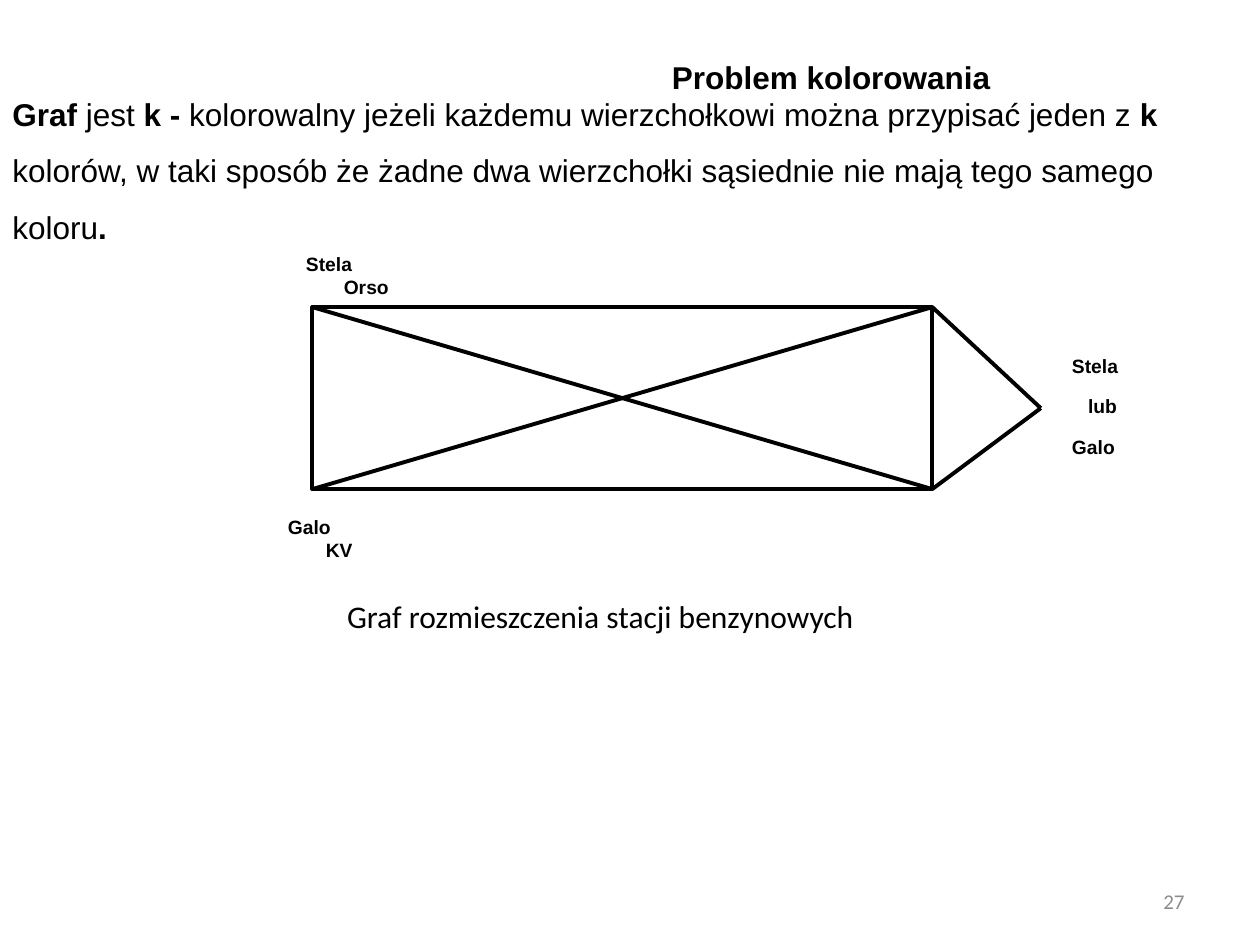
"""Build the slide that defines graph colouring with a petrol station graph."""
from lxml.etree import SubElement
from pptx import Presentation
from pptx.dml.color import RGBColor
from pptx.enum.shapes import MSO_CONNECTOR, MSO_SHAPE
from pptx.enum.text import MSO_ANCHOR, PP_ALIGN
from pptx.oxml.ns import qn
from pptx.util import Pt

BLACK, WHITE, GREY = "000000", "FFFFFF", "8C8C8C"
LINE_WIDTH = 2.25

TITLE = "Problem kolorowania"
DEFINITION = [
    ("Graf ", True),
    ("jest", False),
    (" k - ", True),
    ("kolorowalny jeżeli każdemu wierzchołkowi można przypisać jeden z ", False),
    ("k ", True),
    ("kolorów, w taki sposób że żadne dwa wierzchołki sąsiednie nie mają tego samego koloru", False),
    (".", True),
]
CAPTION = "Graf rozmieszczenia stacji benzynowych"
PAGE = "27"

LEFT, TOP, RIGHT, BOTTOM = 178.5, 175.5, 532.75, 279.5
APEX = (594.75, 233.25)
EDGES = [
    ((LEFT, TOP), (RIGHT, BOTTOM)),
    ((RIGHT, TOP), (LEFT, BOTTOM)),
    ((RIGHT, TOP), APEX),
    (APEX, (RIGHT, BOTTOM)),
]
STATIONS = [
    ((167.75, 140.5, 375, 23), 0, [("Stela", 0), ("Orso", 21.6)]),
    ((157.5, 291, 396, 34.5), 0, [("Galo", 0), ("KV", 21.6)]),
    ((605.5, 198.75, 72.75, 69), 10, [("Stela", 0), ("lub", 9.2), ("Galo", 0)]),
]


def color(value):
    return RGBColor.from_string(value)


def add_run(p, text, size, bold=False, font="Arial", fill=BLACK):
    r = p.add_run()
    r.text = text
    r.font.name, r.font.size, r.font.bold = font, Pt(size), bold
    r.font.color.rgb = color(fill)


def add_text(s, box, anchor=MSO_ANCHOR.MIDDLE, wrap=True):
    tf = s.shapes.add_textbox(*map(Pt, box)).text_frame
    tf.word_wrap, tf.vertical_anchor = wrap, anchor
    return tf.paragraphs[0]


def add_rect(s, box, outlined=False):
    sp = s.shapes.add_shape(MSO_SHAPE.RECTANGLE, *map(Pt, box))
    sp.shadow.inherit = False
    sp.fill.solid()
    sp.fill.fore_color.rgb = color(WHITE)
    if outlined:
        sp.line.color.rgb, sp.line.width = color(BLACK), Pt(LINE_WIDTH)
    else:
        sp.line.fill.background()
    return sp


def add_edge(s, start, end):
    line = s.shapes.add_connector(MSO_CONNECTOR.STRAIGHT, *map(Pt, start + end))
    line.line.color.rgb, line.line.width = color(BLACK), Pt(LINE_WIDTH)
    SubElement(line._element.spPr, qn("a:effectLst"))


def add_station(s, box, gap, lines):
    tf = add_rect(s, box).text_frame
    tf.word_wrap, tf.vertical_anchor = True, MSO_ANCHOR.TOP
    for i, (text, indent) in enumerate(lines):
        p = tf.add_paragraph() if i else tf.paragraphs[0]
        p.alignment, p.space_after = PP_ALIGN.LEFT, Pt(gap)
        p._p.get_or_add_pPr().set("marL", str(Pt(indent)))
        add_run(p, text, 11, True)


def main():
    prs = Presentation()
    prs.slide_width, prs.slide_height = Pt(720), Pt(540)
    s = prs.slides.add_slide(prs.slide_layouts[5])

    title = s.shapes.title
    title.left, title.top, title.width, title.height = map(Pt, (376.75, 29.5, 315, 29))
    title.text_frame.vertical_anchor = MSO_ANCHOR.MIDDLE
    p = title.text_frame.paragraphs[0]
    p.alignment = PP_ALIGN.JUSTIFY
    add_run(p, TITLE, 18, True)

    add_rect(s, (LEFT, TOP, RIGHT - LEFT, BOTTOM - TOP), outlined=True)
    for start, end in EDGES:
        add_edge(s, start, end)
    for station in STATIONS:
        add_station(s, *station)

    p = add_text(s, (0, 39.5, 692, 105))
    p.line_spacing = 1.5
    for text, bold in DEFINITION:
        add_run(p, text, 18, bold)

    p = add_text(s, (516, 500.5, 168, 28.75))
    p.alignment = PP_ALIGN.RIGHT
    add_run(p, PAGE, 12, font="Calibri", fill=GREY)

    p = add_text(s, (191.25, 337.5, 307.5, 29), MSO_ANCHOR.TOP, wrap=False)
    add_run(p, CAPTION, 18, font="Calibri")

    prs.save("out.pptx")


if __name__ == "__main__":
    main()
